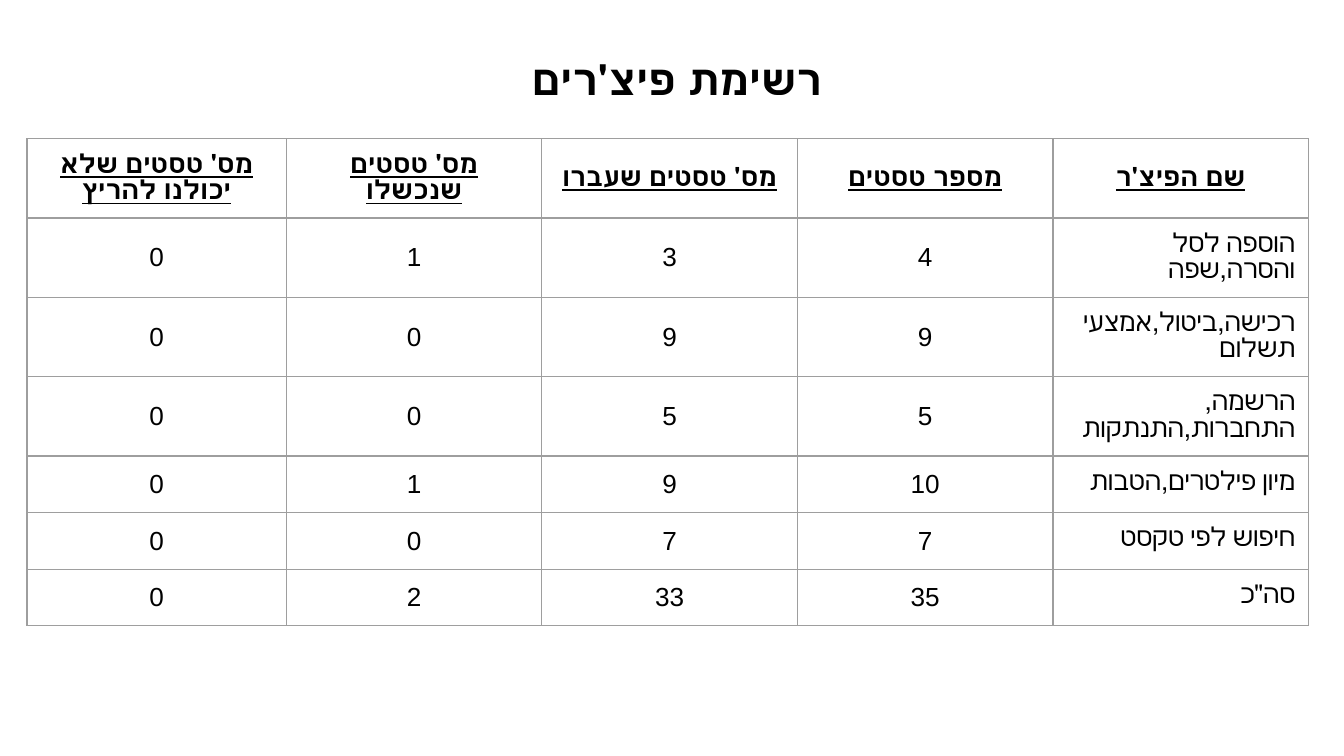
from lxml.etree import SubElement
from pptx import Presentation
from pptx.dml.color import RGBColor as Rgb
from pptx.enum.text import MSO_ANCHOR as Anchor, MSO_AUTO_SIZE as Fit, PP_ALIGN as Align
from pptx.oxml.ns import qn
from pptx.util import Cm, Pt

HUES = {"text": "000000", "grid": "9E9E9E", "back": "FFFFFF"}
FONT = "Arial"
PAD = Cm(0.25)
WIDTHS = [4.9] + [4.83] * 4
TALL, LOW = 1.5, 1.07
HEADS = ["מס' טסטים שלא יכולנו להריץ", "מס' טסטים שנכשלו",
         "מס' טסטים שעברו", "מספר טסטים", "שם הפיצ'ר"]
ROWS = [
    (TALL, [0, 1, 3, 4, "הוספה לסל והסרה,שפה"]),
    (TALL, [0, 0, 9, 9, "רכישה,ביטול,אמצעי תשלום"]),
    (TALL, [0, 0, 5, 5, "הרשמה, התחברות,התנתקות"]),
    (LOW, [0, 1, 9, 10, "מיון פילטרים,הטבות"]),
    (LOW, [0, 0, 7, 7, "חיפוש לפי טקסט"]),
    (LOW, [0, 2, 33, 35, 'סה"כ']),
]


def write(frame, text, size, align, rtl, bold=False, line=False):
    """Set one styled paragraph."""
    para = frame.paragraphs[0]
    para.text = text
    para.alignment = align
    if rtl:
        para._p.get_or_add_pPr().set("rtl", "1")
    font = para.runs[0].font
    font.name, font.size = FONT, Pt(size)
    font.bold, font.underline = bold, line
    font.color.rgb = Rgb.from_string(HUES["text"])
    return para


def add_title(slide):
    """Place and fill the title."""
    title = slide.shapes.title
    title.left, title.top = Cm(0.99), Cm(0.94)
    title.width, title.height = Cm(23.6), Cm(1.22)
    frame = title.text_frame
    frame.word_wrap, frame.auto_size = True, Fit.NONE
    frame.vertical_anchor = Anchor.TOP
    frame.margin_left = frame.margin_right = PAD
    frame.margin_top = frame.margin_bottom = PAD
    para = write(frame, "רשימת פיצ'רים", 22.6, Align.CENTER, True, bold=True)
    para.line_spacing = 0.8


def frame_cell(cell):
    """Give a cell its four border lines."""
    props = cell._tc.get_or_add_tcPr()
    for side in ("lnL", "lnR", "lnT", "lnB"):
        line = SubElement(props, qn(f"a:{side}"), w=str(Pt(0.75)))
        fill = SubElement(line, qn("a:solidFill"))
        SubElement(fill, qn("a:srgbClr"), val=HUES["grid"])


def fill_cell(cell, value, head):
    """Style and fill one table cell."""
    name = isinstance(value, str) and not head
    cell.margin_left = cell.margin_right = PAD
    cell.margin_top = cell.margin_bottom = PAD
    cell.vertical_anchor = Anchor.TOP if name else Anchor.MIDDLE
    align = Align.RIGHT if name else Align.CENTER
    write(cell.text_frame, str(value), 14, align, name or head, head, head)
    frame_cell(cell)
    cell.fill.solid()
    cell.fill.fore_color.rgb = Rgb.from_string(HUES["back"])


def add_grid(slide):
    """Build the table of features and test counts."""
    rows = [(TALL, HEADS)] + ROWS
    high = sum(size for size, _ in rows)
    table = slide.shapes.add_table(len(rows), len(WIDTHS), Cm(0.51), Cm(2.62),
                                   Cm(sum(WIDTHS)), Cm(high)).table
    table.first_row = table.horz_banding = False
    for col, width in zip(table.columns, WIDTHS):
        col.width = Cm(width)
    for r, (size, vals) in enumerate(rows):
        table.rows[r].height = Cm(size)
        for c, value in enumerate(vals):
            fill_cell(table.cell(r, c), value, r == 0)


def main():
    """Build and save the slide."""
    deck = Presentation()
    deck.slide_width, deck.slide_height = Cm(25.4), Cm(14.29)
    slide = deck.slides.add_slide(deck.slide_layouts[5])
    add_title(slide)
    add_grid(slide)
    deck.save("out.pptx")


if __name__ == "__main__":
    main()
